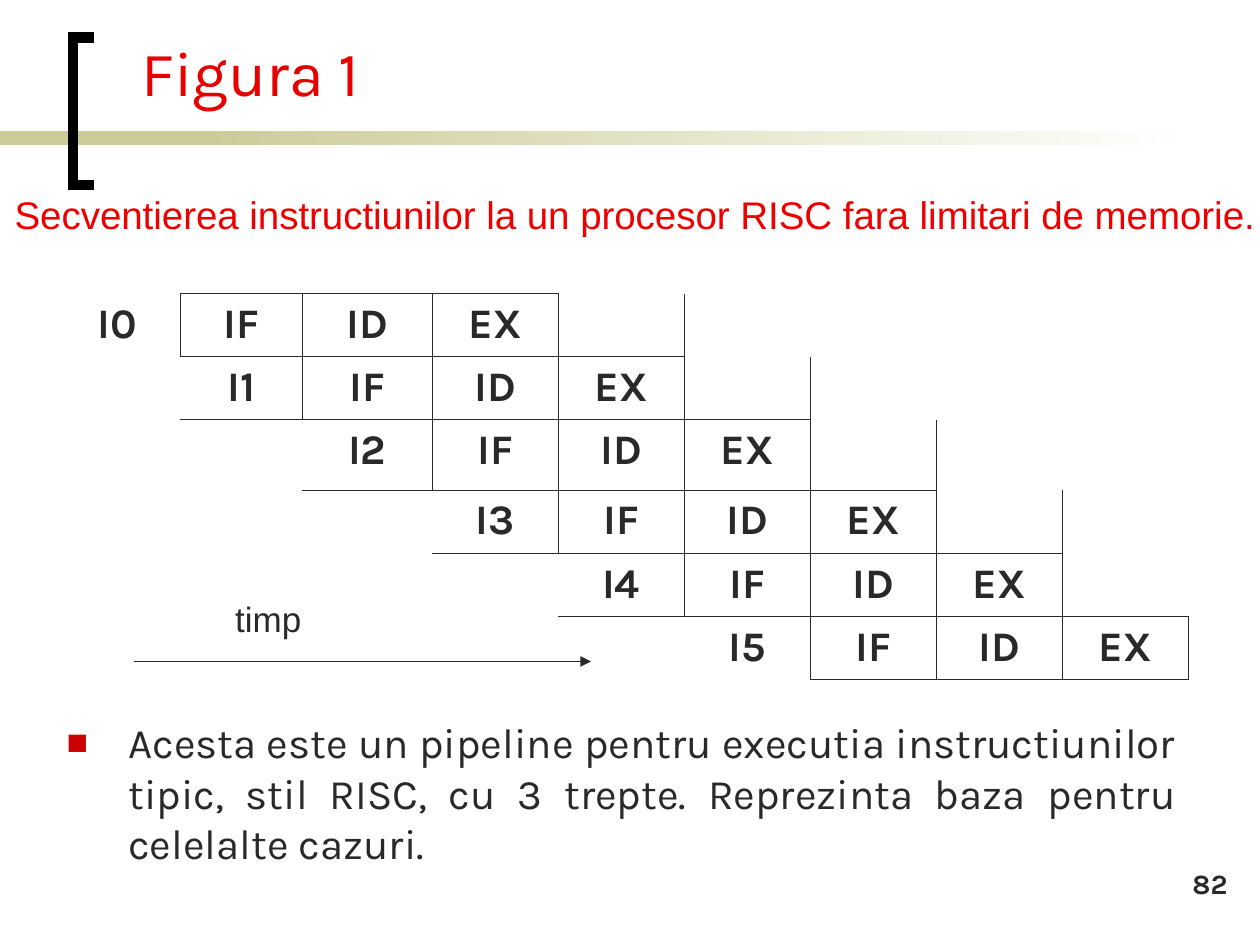
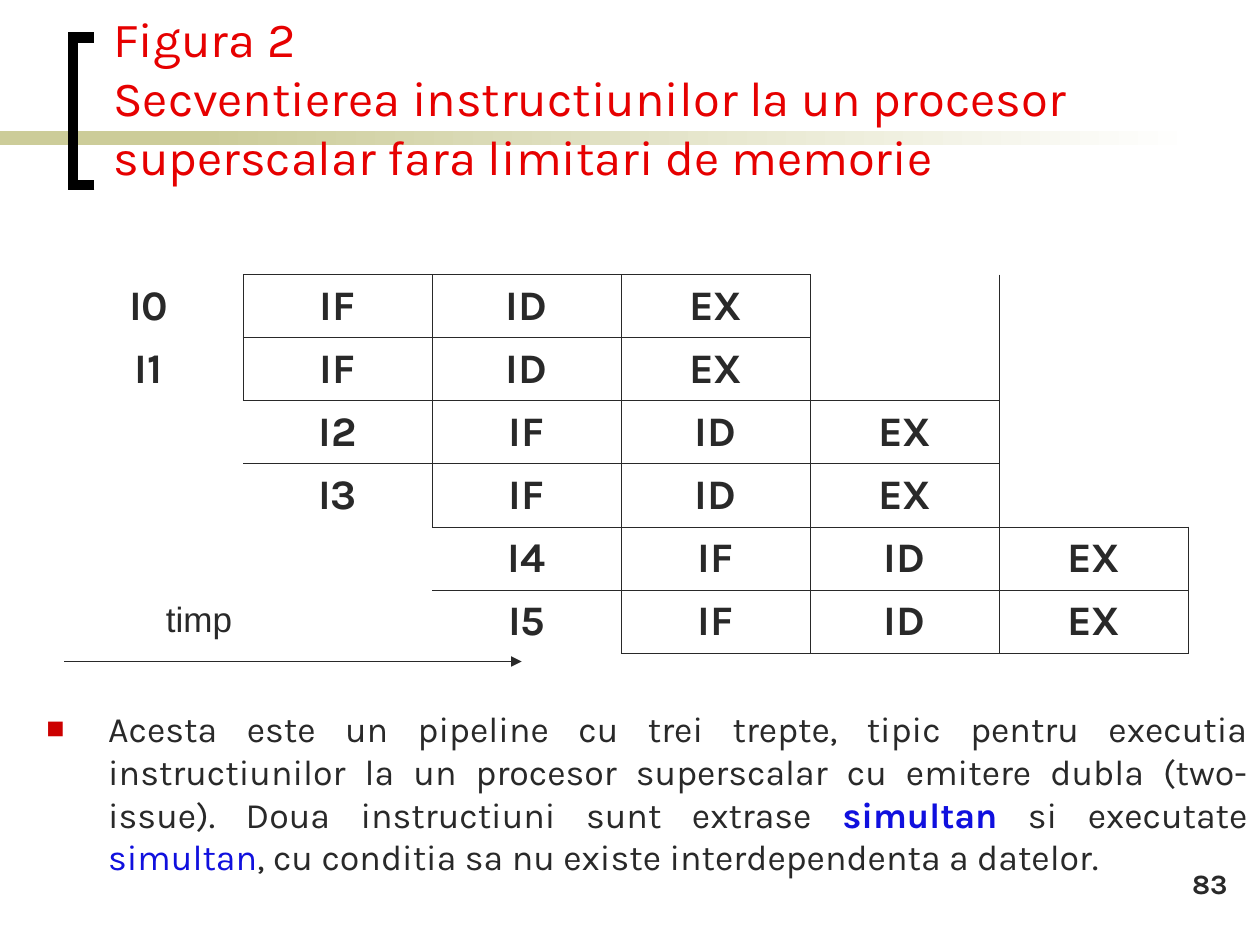
from dataclasses import dataclass

from lxml import etree
from pptx import Presentation
from pptx.dml.color import RGBColor
from pptx.enum.shapes import MSO_CONNECTOR, MSO_SHAPE
from pptx.enum.text import MSO_ANCHOR, MSO_AUTO_SIZE, PP_ALIGN
from pptx.oxml.ns import qn
from pptx.util import Inches, Pt

RECTANGLE = MSO_SHAPE.RECTANGLE
STRAIGHT = MSO_CONNECTOR.STRAIGHT
TOP, MIDDLE, BOTTOM = MSO_ANCHOR.TOP, MSO_ANCHOR.MIDDLE, MSO_ANCHOR.BOTTOM
NO_FIT = MSO_AUTO_SIZE.NONE
LEFT, CENTER, RIGHT, JUSTIFY = PP_ALIGN.LEFT, PP_ALIGN.CENTER, PP_ALIGN.RIGHT, PP_ALIGN.JUSTIFY
TITLE_ONLY = 5
GRID = Inches(0.1)
COLUMNS, ROWS = 100, 75
STAGES = ("IF", "ID", "EX")
INSTRUCTIONS = 6
SIDES = {"a:lnL": (0, -1), "a:lnR": (0, 1), "a:lnT": (-1, 0), "a:lnB": (1, 0)}
NO_STYLE = "{2D5ABB26-0587-4C30-8999-92F81FD0307C}"


@dataclass(frozen=True)
class Theme:
    """Colours, fonts and type sizes of the deck."""
    ink: str = "292929"
    title: str = "E60000"
    caption: str = "EE0000"
    accent: str = "1010DE"
    bullet: str = "CC0000"
    band: str = "CCCC99"
    paper: str = "FFFFFF"
    bracket: str = "000000"
    main_font: str = "Karla"
    side_font: str = "Arial"
    stage_size: float = 24
    caption_size: float = 22
    time_size: float = 20
    number_size: float = 16


@dataclass(frozen=True)
class Box:
    """A region measured in grid columns and rows."""
    left: float
    top: float
    width: float
    height: float

    def lengths(self):
        """Return left, top, width and height as slide lengths."""
        return [units(value) for value in (self.left, self.top, self.width, self.height)]


THEME = Theme()


def units(count):
    """Turn grid units into a slide length."""
    return int(count * GRID)


def rgb(colour):
    """Turn a hex string into a colour."""
    return RGBColor.from_string(colour)


def apply(target, formats):
    """Set every attribute named in a dict of format values."""
    for name, value in formats.items():
        setattr(target, name, value)


def add_xml(parent, tag, **attributes):
    """Append a DrawingML element to a parent element."""
    return etree.SubElement(parent, qn(tag), attributes)


def add_span(para, text, size, colour=THEME.ink, font=THEME.main_font, bold=False):
    """Add one formatted run to a paragraph."""
    span = para.add_run()
    span.text = text
    apply(span.font, {"name": font, "size": Pt(size), "bold": bold})
    span.font.color.rgb = rgb(colour)


def add_text(page, box, align=CENTER, wrap=True):
    """Add a text box and return its first paragraph."""
    frame = page.shapes.add_textbox(*box.lengths()).text_frame
    frame.word_wrap = wrap
    para = frame.paragraphs[0]
    para.alignment = align
    return para


def add_band(page, box):
    """Add a borderless, shadowless band and return its fill."""
    band = page.shapes.add_shape(RECTANGLE, *box.lengths())
    band.shadow.inherit = False
    band.line.fill.background()
    return band.fill


def decorate_layout(layout, page):
    """Draw the bands and bracket on a page and move them to its layout."""
    for holder in list(layout.placeholders):
        if holder.placeholder_format.idx:
            layout.shapes.element.remove(holder.element)

    solid = add_band(page, Box(0, 10.4, 23.3, 1.1))
    solid.solid()
    solid.fore_color.rgb = rgb(THEME.band)
    fade = add_band(page, Box(15.8, 10.4, 79.2, 1.1))
    fade.gradient()
    fade.gradient_angle = 0
    for stop, colour in zip(fade.gradient_stops, (THEME.band, THEME.paper)):
        stop.color.rgb = rgb(colour)

    left, top, width, height = Box(5.8, 3, 1.7, 11.7).lengths()
    outline = page.shapes.build_freeform(left + width, top + height)
    outline.add_line_segments(
        [(left, top + height), (left, top), (left + width, top)], close=False)
    bracket = outline.convert_to_shape()
    bracket.shadow.inherit = False
    bracket.fill.background()
    bracket.line.color.rgb = rgb(THEME.bracket)
    bracket.line.width = Pt(6)
    add_xml(bracket.line._get_or_add_ln(), "a:miter", lim="800000")

    for shape in list(page.shapes):
        if not shape.is_placeholder:
            layout.shapes.element.append(shape.element)


def place_title(page, box, lines, size):
    """Move and format the title placeholder."""
    title = page.shapes.title
    apply(title, dict(zip(("left", "top", "width", "height"), box.lengths())))
    apply(title.text_frame, {"auto_size": NO_FIT, "word_wrap": True, "vertical_anchor": BOTTOM})
    para = title.text_frame.paragraphs[0]
    para.alignment = LEFT
    for index, line in enumerate(lines):
        if index:
            para.add_line_break()
        add_span(para, line, size, THEME.title)


def rule_cell(cell, is_stage, row, column):
    """Rule the sides of a cell that touch a pipeline stage."""
    properties = cell._tc.get_or_add_tcPr()
    for tag, (down, across) in SIDES.items():
        if is_stage(row, column) or is_stage(row + down, column + across):
            line = add_xml(properties, tag, w=str(Pt(0.45)))
            add_xml(add_xml(line, "a:solidFill"), "a:srgbClr", val=THEME.ink)
    cell.fill.background()


def place_pipeline(page, box, issue, widths, heights, anchor):
    """Place the instruction table, issuing a number of instructions per step."""
    steps = INSTRUCTIONS // issue
    table = page.shapes.add_table(INSTRUCTIONS, steps + len(STAGES), *box.lengths()).table
    apply(table, {"first_row": False, "horz_banding": False})
    table._tbl.tblPr.find(qn("a:tableStyleId")).text = NO_STYLE
    for column, width in zip(table.columns, widths):
        column.width = units(width)
    for row, height in zip(table.rows, heights):
        row.height = units(height)

    def is_stage(row, column):
        """Tell whether a table position holds a stage."""
        return 0 <= row < INSTRUCTIONS and 0 < column - row // issue <= len(STAGES)

    for row in range(INSTRUCTIONS):
        texts = dict(enumerate((f"I{row}", *STAGES), start=row // issue))
        for column in range(len(table.columns)):
            cell = table.cell(row, column)
            cell.vertical_anchor = anchor
            if column in texts:
                para = cell.text_frame.paragraphs[0]
                para.alignment = CENTER
                add_span(para, texts[column], THEME.stage_size, bold=True)
            rule_cell(cell, is_stage, row, column)


def place_time_arrow(page, box):
    """Place the time label above its arrow along the bottom of the box."""
    left, top, width, height = box.lengths()
    arrow = page.shapes.add_connector(STRAIGHT, left, top + height, left + width, top + height)
    arrow.line.color.rgb = rgb(THEME.ink)
    arrow.line.width = Pt(0.75)
    add_xml(arrow.line._get_or_add_ln(), "a:tailEnd", type="triangle")
    add_xml(arrow.element.spPr, "a:effectLst")
    label = add_text(page, Box(box.left + 6.7, box.top, 8, 4.4), wrap=False)
    add_span(label, "timp", THEME.time_size, font=THEME.side_font)


def place_bullet(page, box, spans, size):
    """Place a justified bullet made of text and format pairs."""
    para = add_text(page, box, JUSTIFY)
    properties = para._p.get_or_add_pPr()
    indent = units(4.9)
    properties.set("marL", str(indent))
    properties.set("indent", str(-indent))
    add_xml(add_xml(properties, "a:buClr"), "a:srgbClr", val=THEME.bullet)
    add_xml(properties, "a:buSzPct", val="85000")
    add_xml(properties, "a:buFont", typeface=THEME.side_font)
    add_xml(properties, "a:buChar", char="■")
    for text, formats in spans:
        add_span(para, text, size, **formats)


def place_number(page, number):
    """Place the page number in the bottom right corner."""
    para = add_text(page, Box(77.6, 68.3, 20.8, 5), RIGHT)
    add_span(para, str(number), THEME.number_size, bold=True)


def build_scalar_page(page):
    """Fill the page on the scalar RISC pipeline."""
    place_title(page, Box(10.2, 1.1, 78.3, 8.1), ["Figura 1"], 36)
    place_bullet(page, Box(4.3, 56.4, 90, 15.3), [
        ("Acesta este un pipeline pentru executia instructiunilor tipic, stil RISC, "
         "cu 3 trepte. Reprezinta baza pentru celelalte cazuri.", {})], 24)
    place_pipeline(page, Box(4.3, 23.3, 90, 30.6), 1,
                   [10, 9.7, 10.3] + [10] * 6, [5, 5, 5.6, 5, 5, 5], TOP)
    caption = add_text(page, Box(0, 14.7, 100.8, 8.4))
    add_span(caption,
             "Secventierea instructiunilor la un procesor RISC fara limitari de memorie.",
             THEME.caption_size, THEME.caption, THEME.side_font)
    place_time_arrow(page, Box(10.6, 46.9, 36.3, 5.6))
    place_number(page, 82)


def build_superscalar_page(page):
    """Fill the page on the superscalar pipeline."""
    place_title(page, Box(8, 9.1, 90, 6.1), [
        "Figura 2",
        "Secventierea instructiunilor la un procesor superscalar fara limitari de memorie"], 28)
    place_bullet(page, Box(2.7, 55.6, 97.3, 15.7), [
        ("Acesta este un pipeline cu trei trepte, tipic pentru executia instructiunilor "
         "la un procesor superscalar cu emitere dubla (two-issue). Doua instructiuni "
         "sunt extrase ", {}),
        ("simultan", {"colour": THEME.accent, "bold": True}),
        (" si executate ", {}),
        ("simultan", {"colour": THEME.accent}),
        (", cu conditia sa nu existe interdependenta a datelor.", {})], 20.4)
    place_pipeline(page, Box(4.3, 21.8, 90, 30), 2, [15] * 6, [5] * INSTRUCTIONS, MIDDLE)
    place_time_arrow(page, Box(5.1, 46.9, 36.3, 5.6))
    place_number(page, 83)


def main():
    """Build and save the deck."""
    deck = Presentation()
    apply(deck, {"slide_width": units(COLUMNS), "slide_height": units(ROWS)})
    layout = deck.slide_layouts[TITLE_ONLY]
    pages = [deck.slides.add_slide(layout) for _ in range(2)]
    decorate_layout(layout, pages[0])
    for page, build in zip(pages, (build_scalar_page, build_superscalar_page)):
        build(page)
    deck.save("out.pptx")


if __name__ == "__main__":
    main()
